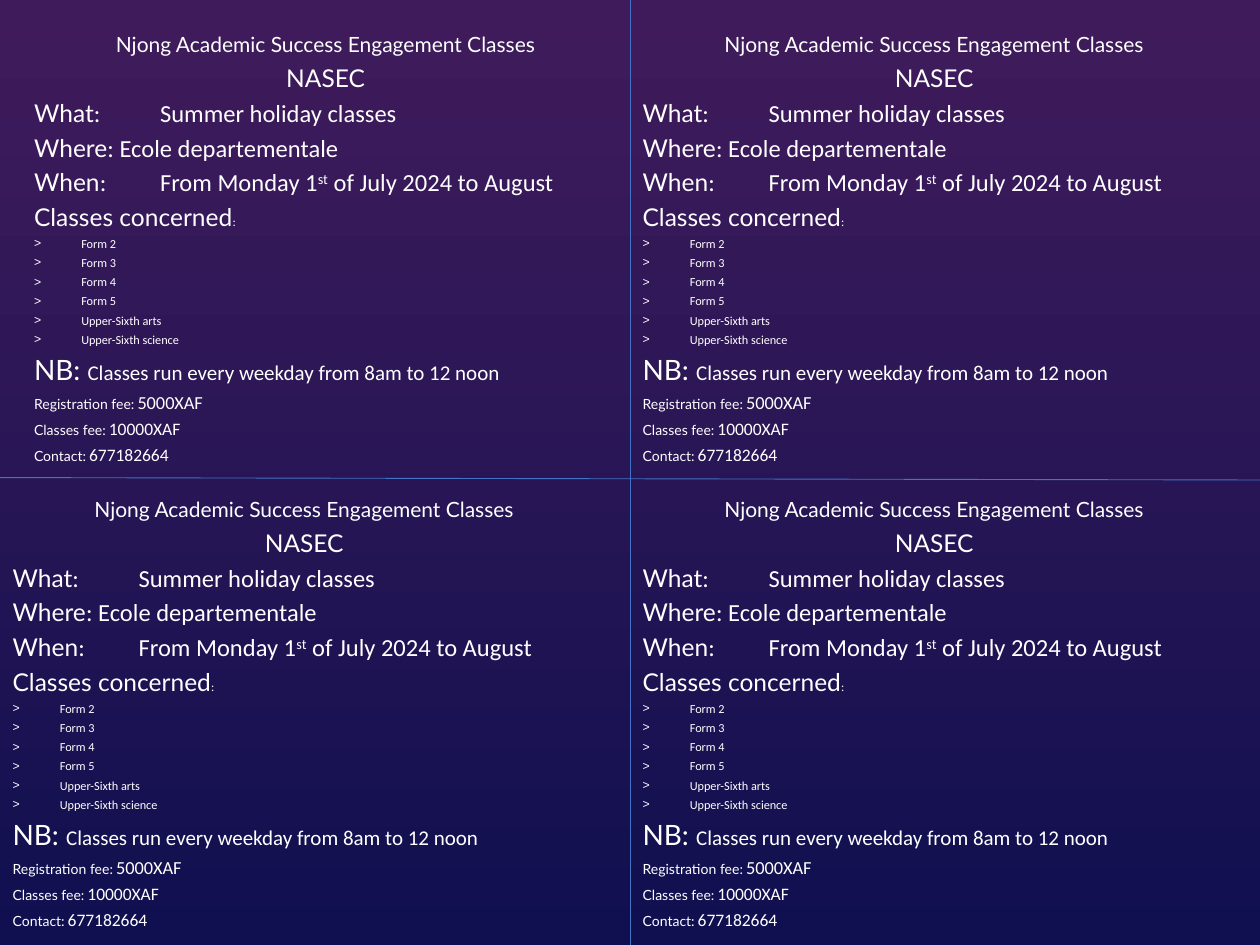
import pptx
import pptx.util
import pptx.dml.color
import pptx.enum.shapes
import pptx.enum.text
import pptx.oxml
import pptx.oxml.ns
import lxml.etree
from dataclasses import dataclass

Pt = pptx.util.Pt
HEX = {"top": "401B5B", "base": "101050", "text": "FFFFFF", "rule": "4472C4"}
HEAD, BODY = "Lato", "Calibri"
LEFT = pptx.enum.text.PP_ALIGN.LEFT
CENTER = pptx.enum.text.PP_ALIGN.CENTER


@dataclass
class Span:
    text: str
    size: float
    face: str = BODY
    raised: bool = False


@dataclass
class Line:
    spans: list[Span]
    align: int = LEFT
    bullet: str = ""
    tab: float = 0


@dataclass
class Spot:
    left: float
    top: float


@dataclass
class Rule:
    x1: float
    y1: float
    x2: float
    y2: float


def fee(label: str, value: str, size: float) -> Line:
    return Line([Span(label, 8, HEAD), Span(" ", 7), Span(value, size)])


FORMS = ["Form 2", "Form 3", "Form 4", "Form 5", "Upper-Sixth arts", "Upper-Sixth science"]
FLYER = [
    Line([Span("Njong Academic Success Engagement Classes", 12, HEAD)], CENTER),
    Line([Span("NASEC", 14, HEAD)], CENTER),
    Line([Span("What", 14, HEAD), Span(":\tSummer holiday classes", 14)], tab=50.5),
    Line([Span("Where", 14, HEAD), Span(": Ecole departementale", 14)]),
    Line([Span("When", 14, HEAD), Span(":\tFrom Monday 1", 14),
          Span("st", 14, raised=True), Span(" of July 2024 to August", 14)], tab=50.5),
    Line([Span("Classes concerned", 14, HEAD), Span(":", 7)]),
    *[Line([Span(form, 7)], bullet=">") for form in FORMS],
    Line([Span("NB: ", 16, HEAD), Span("Classes run every weekday from 8am to 12 noon", 12)]),
    fee("Registration fee:", "5000XAF", 10.5),
    fee("Classes fee:", "10000XAF", 10),
    fee("Contact:", "677182664", 10),
]
WIDE, HIGH = 347.76, 258.48
ROWS = [13.68, 279.36]
SPOTS = [Spot(12.24, ROWS[0]), Spot(360, ROWS[0]), Spot(0, ROWS[1]), Spot(360, ROWS[1])]
RULES = [Rule(360, 0, 360, 540), Rule(0, 272.9, 720, 274.3)]


def tint(name: str) -> pptx.dml.color.RGBColor:
    return pptx.dml.color.RGBColor.from_string(HEX[name])


def add(node, tag: str, **marks: str):
    return lxml.etree.SubElement(node, pptx.oxml.ns.qn(tag), marks)


def style(font, span: Span) -> None:
    font.size = Pt(span.size)
    font.name = span.face


def draw_line(para, line: Line) -> None:
    para.alignment = line.align
    para.line_spacing = 1.07
    para.space_before = para.space_after = Pt(1)
    props = para._p.get_or_add_pPr()
    hang = Pt(27) if line.bullet else 0
    props.set("marL", str(hang))
    props.set("indent", str(-hang))
    if line.bullet:
        add(props, "a:buChar", char=line.bullet)
    else:
        add(props, "a:buNone")
    if line.tab:
        add(add(props, "a:tabLst"), "a:tab", pos=str(Pt(line.tab)), algn="l")
    para.font.color.rgb = tint("text")
    para.font.bold = False
    if len(line.spans) == 1:
        style(para.font, line.spans[0])
    for span in line.spans:
        run = para.add_run()
        run.text = span.text
        if len(line.spans) > 1:
            style(run.font, span)
        if span.raised:
            run._r.get_or_add_rPr().set("baseline", "30000")


def draw_flyer(box, spot: Spot) -> None:
    box.left, box.top = Pt(spot.left), Pt(spot.top)
    box.width, box.height = Pt(WIDE), Pt(HIGH)
    frame = box.text_frame
    frame.word_wrap = True
    frame.auto_size = pptx.enum.text.MSO_AUTO_SIZE.SHAPE_TO_FIT_TEXT
    frame.vertical_anchor = pptx.enum.text.MSO_ANCHOR.TOP
    frame.margin_left = frame.margin_right = Pt(7.2)
    frame.margin_top = frame.margin_bottom = Pt(3.6)
    for i, line in enumerate(FLYER):
        draw_line(frame.add_paragraph() if i else frame.paragraphs[0], line)


def draw_rule(slide, rule: Rule) -> None:
    link = slide.shapes.add_connector(
        pptx.enum.shapes.MSO_CONNECTOR.STRAIGHT,
        Pt(rule.x1), Pt(rule.y1), Pt(rule.x2), Pt(rule.y2))
    link.line.color.rgb = tint("rule")
    link.line.width = Pt(0.5)
    add(link._element.spPr, "a:effectLst")


def main() -> None:
    deck = pptx.Presentation()
    deck.slide_width, deck.slide_height = Pt(720), Pt(540)
    slide = deck.slides.add_slide(deck.slide_layouts.get_by_name("Comparison"))
    fill = slide.background.fill
    fill.gradient()
    fill.gradient_angle = 270
    for stop, name in zip(fill.gradient_stops, ("top", "base")):
        stop.color.rgb = tint(name)
    title, *boxes = slide.placeholders
    title._element.getparent().remove(title._element)
    for box, spot in zip(boxes, SPOTS):
        draw_flyer(box, spot)
    for rule in RULES:
        draw_rule(slide, rule)
    deck.save("out.pptx")


if __name__ == "__main__":
    main()
